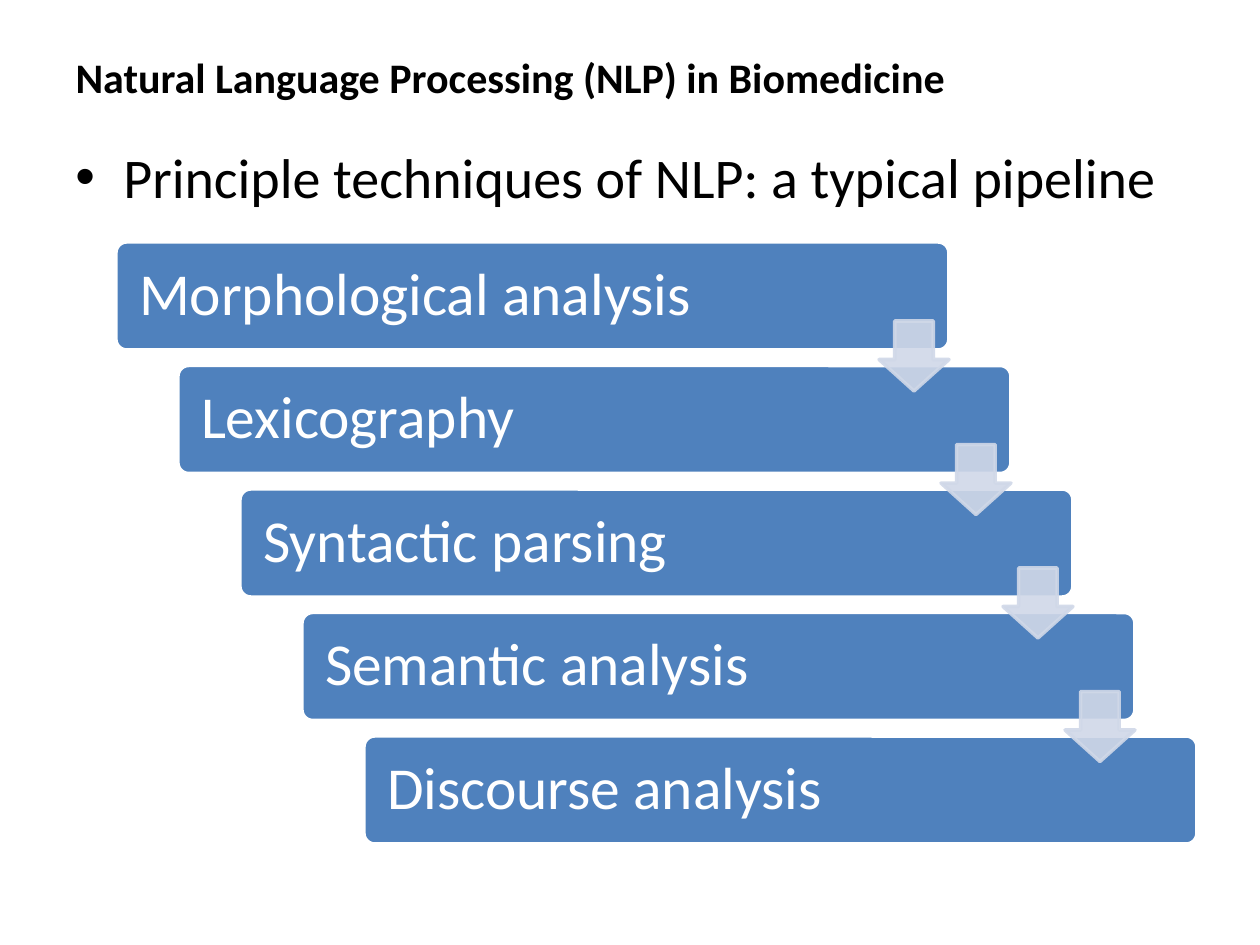
from pptx import Presentation
from pptx.dml.color import RGBColor
from pptx.enum.shapes import MSO_SHAPE
from pptx.enum.text import MSO_ANCHOR, PP_ALIGN
from pptx.oxml.ns import qn
from pptx.util import Pt
from lxml import etree

BAR, ARROW = MSO_SHAPE.ROUNDED_RECTANGLE, MSO_SHAPE.DOWN_ARROW
MID, TOP = MSO_ANCHOR.MIDDLE, MSO_ANCHOR.TOP
LEFT = PP_ALIGN.LEFT

# Content
TITLE = "Natural Language Processing (NLP) in Biomedicine"
POINT = "Principle techniques of NLP: a typical pipeline"
STEPS = [
    "Morphological analysis",
    "Lexicography",
    "Syntactic parsing",
    "Semantic analysis",
    "Discourse analysis",
]

THEME = {
    "font": "Calibri",
    "ink": "000000", "bar": "4F81BD", "edge": "FFFFFF", "arrow": "D0D8E8",
    "title": 24, "point": 32, "step": 34, "line": 2, "alpha": 90,
}

# Layout in px, 126 to the inch
TITLE_BOX = (63, 38, 1134, 78)
POINT_BOX = (63, 136, 1134, 100)
HANG = 48
FIRST, LAST = (116, 242), (364, 736)
BAR_W, BAR_H = 833, 108
SIDE = 70
DROP = 79
PAD = 20


def px(n):
    return round(n * 914400 / 126)


def color(name):
    return RGBColor.from_string(THEME[name])


def place(shape, box):
    shape.left, shape.top, shape.width, shape.height = map(px, box)


def write(shape, text, size, ink, anchor, bold=False):
    frame = shape.text_frame
    frame.text = text
    frame.word_wrap = True
    frame.vertical_anchor = anchor
    para = frame.paragraphs[0]
    para.alignment = LEFT
    font = para.runs[0].font
    font.name, font.size, font.bold = THEME["font"], Pt(THEME[size]), bold
    font.color.rgb = color(ink)
    return para


def draw(slide, kind, box, fill, edge):
    shape = slide.shapes.add_shape(kind, *map(px, box))
    shape.shadow.inherit = False
    shape.fill.solid()
    shape.fill.fore_color.rgb = color(fill)
    shape.line.color.rgb = color(edge)
    shape.line.width = Pt(THEME["line"])
    return shape


def fade(shape):
    for tint in shape.element.spPr.iter(qn("a:srgbClr")):
        alpha = etree.SubElement(tint, qn("a:alpha"))
        alpha.set("val", str(THEME["alpha"] * 1000))


def bullet(para):
    props = para._p.get_or_add_pPr()
    props.set("marL", str(px(HANG)))
    props.set("indent", str(-px(HANG)))
    etree.SubElement(props, qn("a:buFont")).set("typeface", "Arial")
    etree.SubElement(props, qn("a:buChar")).set("char", "•")


def main():
    deck = Presentation()
    deck.slide_width, deck.slide_height = px(1260), px(945)
    slide = deck.slides.add_slide(deck.slide_layouts[5])

    # Title and lead point
    title = slide.shapes.title
    place(title, TITLE_BOX)
    write(title, TITLE, "title", "ink", MID, bold=True)
    point = slide.shapes.add_textbox(*map(px, POINT_BOX))
    bullet(write(point, POINT, "point", "ink", TOP))

    # Staircase of bars
    gaps = len(STEPS) - 1
    spots = [
        tuple(a + (b - a) * i / gaps for a, b in zip(FIRST, LAST))
        for i in range(len(STEPS))
    ]
    for (x, y), step in zip(spots, STEPS):
        bar = draw(slide, BAR, (x, y, BAR_W, BAR_H), "bar", "edge")
        bar.adjustments[0] = 0.1
        bar.text_frame.margin_left = px(PAD)
        write(bar, step, "step", "edge", MID).line_spacing = 0.9

    # Arrows at the right end of each bar but the last
    for x, y in spots[:-1]:
        box = (x + BAR_W - SIDE, y + DROP, SIDE, SIDE)
        arrow = draw(slide, ARROW, box, "arrow", "arrow")
        arrow.adjustments[0], arrow.adjustments[1] = 0.55, 0.45
        fade(arrow)

    deck.save("out.pptx")


if __name__ == "__main__":
    main()
